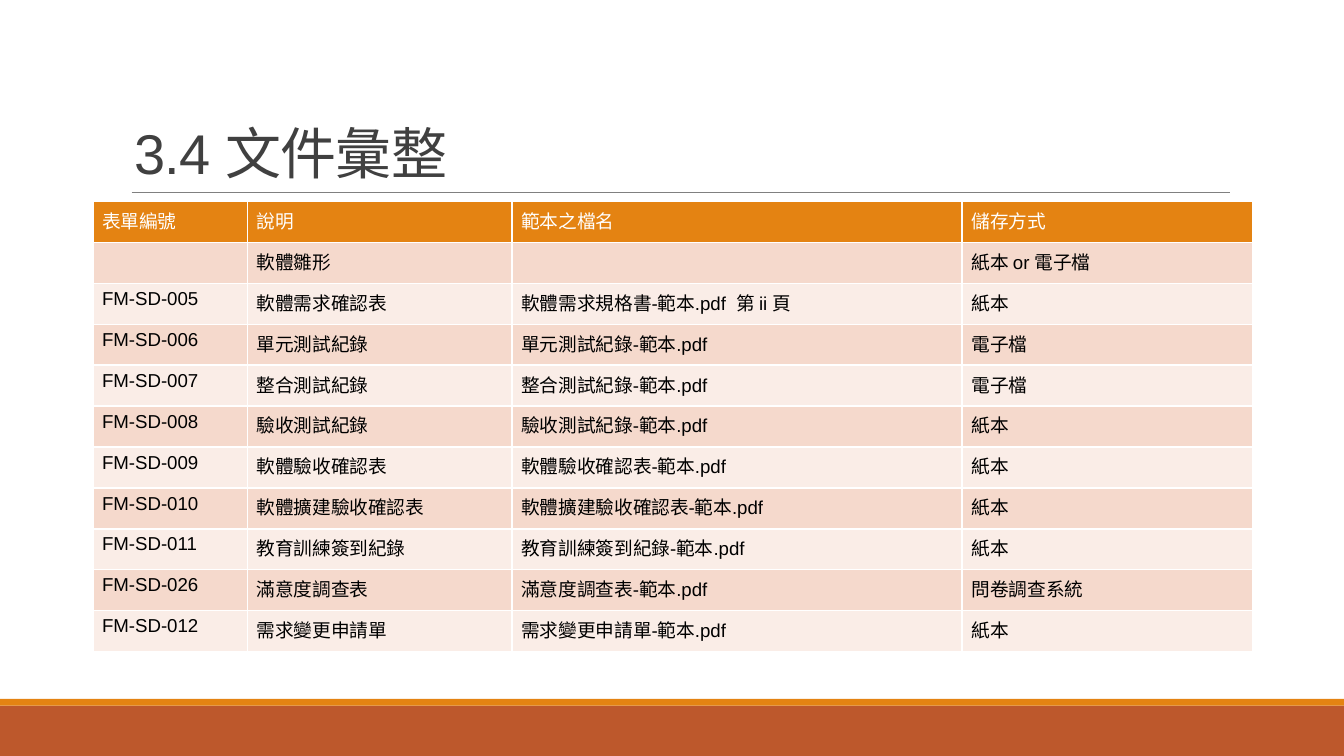
"""Builds the slide listing the forms collected in section 3.4."""
from lxml import etree
from pptx import Presentation
from pptx.dml.color import RGBColor
from pptx.enum.shapes import MSO_CONNECTOR, MSO_SHAPE
from pptx.enum.text import MSO_ANCHOR
from pptx.oxml.ns import qn
from pptx.util import Inches, Pt

STRAIGHT = MSO_CONNECTOR.STRAIGHT
RECTANGLE = MSO_SHAPE.RECTANGLE
BOTTOM = MSO_ANCHOR.BOTTOM

TITLE = "3.4 文件彙整"
HEADER = ("表單編號", "說明", "範本之檔名", "儲存方式")
FORMS = [
    ("", "軟體雛形", "", "紙本 or 電子檔"),
    ("FM-SD-005", "軟體需求確認表", "軟體需求規格書-範本.pdf  第 ii 頁", "紙本"),
    ("FM-SD-006", "單元測試紀錄", "單元測試紀錄-範本.pdf", "電子檔"),
    ("FM-SD-007", "整合測試紀錄", "整合測試紀錄-範本.pdf", "電子檔"),
    ("FM-SD-008", "驗收測試紀錄", "驗收測試紀錄-範本.pdf", "紙本"),
    ("FM-SD-009", "軟體驗收確認表", "軟體驗收確認表-範本.pdf", "紙本"),
    ("FM-SD-010", "軟體擴建驗收確認表", "軟體擴建驗收確認表-範本.pdf", "紙本"),
    ("FM-SD-011", "教育訓練簽到紀錄", "教育訓練簽到紀錄-範本.pdf", "紙本"),
    ("FM-SD-026", "滿意度調查表", "滿意度調查表-範本.pdf", "問卷調查系統"),
    ("FM-SD-012", "需求變更申請單", "需求變更申請單-範本.pdf", "紙本"),
]
COLUMN_WIDTHS = (1.15, 1.97, 3.35, 2.16)
TABLE_LEFT, TABLE_TOP, TABLE_HEIGHT = 0.69, 1.5, 3.35
SLIDE_WIDTH = 10
SLIDE_HEIGHT = SLIDE_WIDTH * 9 / 16
FOOTER_BARS = [(5.25, SLIDE_HEIGHT - 5.25, "footer"), (5.2, 0.05, "accent")]

THEME = {
    "font": "Arial", "title_size": 30, "table_size": 10,
    "title": "404040", "rule": "808080", "footer": "BD582C", "accent": "E48312",
    "header_text": "FFFFFF", "body_text": "000000", "border": "FFFFFF",
    "bands": ("F5D9CC", "FAEDE7"),
}


def color(value):
    return RGBColor.from_string(value)


def style_text(paragraph, size, value):
    for span in paragraph.runs:
        span.font.name = THEME["font"]
        span.font.size = Pt(size)
        span.font.color.rgb = color(value)
        span.font.bold = False


def set_margins(target, side, end):
    target.margin_left = target.margin_right = Inches(side)
    target.margin_top = target.margin_bottom = Inches(end)


def add_borders(cell):
    properties = cell._tc.get_or_add_tcPr()
    for side in "LRTB":
        line = etree.SubElement(properties, qn(f"a:ln{side}"), w=str(Pt(1)))
        fill = etree.SubElement(line, qn("a:solidFill"))
        etree.SubElement(fill, qn("a:srgbClr"), val=THEME["border"])


def add_footer(page):
    for top, height, name in FOOTER_BARS:
        bar = page.shapes.add_shape(
            RECTANGLE, 0, Inches(top), Inches(SLIDE_WIDTH), Inches(height))
        bar.shadow.inherit = False
        bar.fill.solid()
        bar.fill.fore_color.rgb = color(THEME[name])
        bar.line.fill.background()


def add_title(page):
    rule = page.shapes.add_connector(
        STRAIGHT, Inches(0.98), Inches(1.43), Inches(9.15), Inches(1.43))
    rule.line.color.rgb = color(THEME["rule"])
    rule.line.width = Pt(0.5)
    etree.SubElement(rule._element.spPr, qn("a:effectLst"))

    box = page.shapes.add_textbox(Inches(0.9), Inches(0.24), Inches(8.25), Inches(1.19))
    frame = box.text_frame
    frame.word_wrap = True
    frame.vertical_anchor = BOTTOM
    set_margins(frame, 0.1, 0.05)
    frame.text = TITLE
    para = frame.paragraphs[0]
    para.line_spacing = 0.85
    style_text(para, THEME["title_size"], THEME["title"])
    para.runs[0].font._element.set("spc", "-40")


def fill_cell(cell, text, row_index):
    is_header = row_index == 0
    set_margins(cell, 0.07, 0.04)
    add_borders(cell)
    cell.fill.solid()
    band = THEME["bands"][(row_index - 1) % 2]
    cell.fill.fore_color.rgb = color(THEME["accent"] if is_header else band)
    cell.text = text
    para = cell.text_frame.paragraphs[0]
    style_text(para, THEME["table_size"], THEME["header_text" if is_header else "body_text"])
    if not text:
        etree.SubElement(para._p, qn("a:endParaRPr"), sz=str(THEME["table_size"] * 100))


def add_form_table(page):
    rows = [HEADER, *FORMS]
    table = page.shapes.add_table(
        len(rows), len(HEADER), Inches(TABLE_LEFT), Inches(TABLE_TOP),
        Inches(sum(COLUMN_WIDTHS)), Inches(TABLE_HEIGHT)).table
    for column, width in zip(table.columns, COLUMN_WIDTHS):
        column.width = Inches(width)
    for row_index, texts in enumerate(rows):
        for column_index, text in enumerate(texts):
            fill_cell(table.cell(row_index, column_index), text, row_index)


def main():
    deck = Presentation()
    deck.slide_width, deck.slide_height = Inches(SLIDE_WIDTH), Inches(SLIDE_HEIGHT)
    page = deck.slides.add_slide(deck.slide_layouts[6])
    add_footer(page)
    add_title(page)
    add_form_table(page)
    deck.save("out.pptx")


if __name__ == "__main__":
    main()
